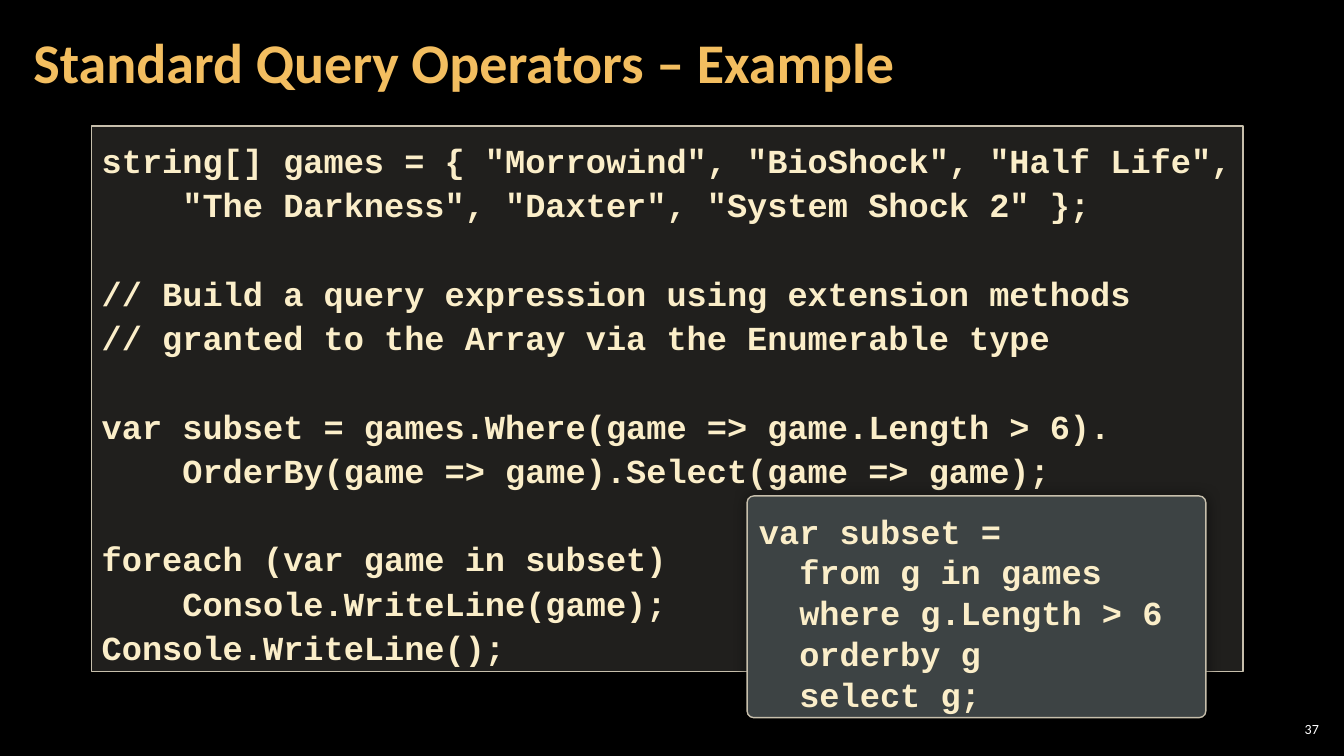
from dataclasses import dataclass
from typing import Optional

from lxml.etree import SubElement
from pptx import Presentation
from pptx.dml.color import RGBColor
from pptx.enum.shapes import MSO_SHAPE as Preset
from pptx.enum.text import MSO_ANCHOR as Anchor, PP_ALIGN as Align
from pptx.oxml.ns import qn
from pptx.util import Inches, Pt

BLACK = RGBColor(0x00, 0x00, 0x00)
WHITE = RGBColor(0xFF, 0xFF, 0xFF)
GOLD = RGBColor(0xF3, 0xBE, 0x60)
CREAM = RGBColor(0xFB, 0xEE, 0xC9)
SAND = RGBColor(0xD9, 0xD5, 0xC7)
EDGE = RGBColor(0xC7, 0xBF, 0xAC)
SLATE = RGBColor(0x3D, 0x43, 0x44)

WIDTH, HEIGHT = Inches(13.33), Inches(7.5)

LOOP = '''string[] games = { "Morrowind", "BioShock", "Half Life",
    "The Darkness", "Daxter", "System Shock 2" };

// Build a query expression using extension methods
// granted to the Array via the Enumerable type

var subset = games.Where(game => game.Length > 6).
    OrderBy(game => game).Select(game => game);

foreach (var game in subset)
    Console.WriteLine(game);
Console.WriteLine();'''

QUERY = '''var subset =
  from g in games
  where g.Length > 6
  orderby g
  select g;'''


@dataclass(frozen=True)
class Area:
    """Left, top, width and height in percent of the slide."""
    left: float
    top: float
    width: float
    height: float

    def box(self) -> tuple[int, int, int, int]:
        return (int(WIDTH * self.left / 100), int(HEIGHT * self.top / 100),
                int(WIDTH * self.width / 100), int(HEIGHT * self.height / 100))


@dataclass(frozen=True)
class Label:
    text: str
    area: Area
    size: int
    color: RGBColor
    bold: bool
    align: Align
    inset: float


@dataclass(frozen=True)
class Panel:
    code: str
    area: Area
    preset: Preset
    fill: RGBColor
    pitch: float
    pad: float
    base: float
    alpha: Optional[int] = None
    round: Optional[float] = None
    glow: bool = False


LABELS = (
    Label("37", Area(94.9, 95.2, 3.53, 2.8), 10, WHITE, False, Align.RIGHT, 0.04),
    Label("Standard Query Operators – Example", Area(1.58, 0.53, 80.35, 16.13),
          40, GOLD, True, Align.LEFT, 0.12),
)
PANELS = (
    Panel(LOOP, Area(6.83, 16.67, 85.67, 72.13), Preset.RECTANGLE, SAND,
          pitch=31.6, pad=0.1, base=0.05, alpha=15),
    Panel(QUERY, Area(55.59, 65.6, 34.13, 29.33), Preset.ROUNDED_RECTANGLE, SLATE,
          pitch=29.1, pad=0.12, base=0.08, round=0.03, glow=True),
)


def add_label(slide, label: Label) -> None:
    frame = slide.shapes.add_textbox(*label.area.box()).text_frame
    frame.word_wrap = True
    frame.vertical_anchor = Anchor.MIDDLE
    frame.margin_left = frame.margin_right = Inches(label.inset)
    frame.margin_top = frame.margin_bottom = Inches(0.04)
    frame.text = label.text
    para = frame.paragraphs[0]
    para.alignment = label.align
    para.line_spacing = 0.9
    font = para.runs[0].font
    font.name, font.size, font.bold = "Calibri", Pt(label.size), label.bold
    font.color.rgb = label.color


def add_glow(shape) -> None:
    """Give the shape a soft dark shadow on all sides."""
    effects = shape._element.spPr.find(qn("a:effectLst"))
    outer = SubElement(effects, qn("a:outerShdw"), blurRad=str(Pt(10)),
                       dist="0", dir="0", algn="ctr", rotWithShape="0")
    color = SubElement(outer, qn("a:srgbClr"), val=str(BLACK))
    SubElement(color, qn("a:alpha"), val="50000")


def add_code(frame, panel: Panel) -> None:
    """Write the code lines; a blank line becomes space before the next."""
    para, gap = frame.paragraphs[0], False
    for row, line in enumerate(panel.code.split("\n")):
        if not line:
            gap = True
            continue
        if row:
            para = frame.add_paragraph()
        para.text = line
        para.alignment = Align.LEFT
        para.line_spacing = Pt(panel.pitch)
        if gap:
            para.space_before = Pt(panel.pitch)
        gap = False
        font = para.runs[0].font
        font.name, font.size, font.bold = "Courier New", Pt(24), True
        font.color.rgb = CREAM


def add_panel(slide, panel: Panel) -> None:
    shape = slide.shapes.add_shape(panel.preset, *panel.area.box())
    shape.shadow.inherit = False
    shape.fill.solid()
    shape.fill.fore_color.rgb = panel.fill
    shape.line.color.rgb = EDGE
    shape.line.width = Pt(1)
    if panel.alpha is not None:
        color = shape._element.spPr.find(qn("a:solidFill")).find(qn("a:srgbClr"))
        SubElement(color, qn("a:alpha"), val=str(panel.alpha * 1000))
    if panel.round is not None:
        shape.adjustments[0] = panel.round
    if panel.glow:
        add_glow(shape)
    frame = shape.text_frame
    frame.word_wrap = True
    frame.vertical_anchor = Anchor.TOP
    frame.margin_left = frame.margin_right = Inches(0.1)
    frame.margin_top, frame.margin_bottom = Inches(panel.pad), Inches(panel.base)
    add_code(frame, panel)


def main() -> None:
    deck = Presentation()
    deck.slide_width, deck.slide_height = WIDTH, HEIGHT
    slide = deck.slides.add_slide(deck.slide_layouts[6])
    slide.background.fill.solid()
    slide.background.fill.fore_color.rgb = BLACK
    for label in LABELS:
        add_label(slide, label)
    for panel in PANELS:
        add_panel(slide, panel)
    deck.save("out.pptx")


if __name__ == "__main__":
    main()
